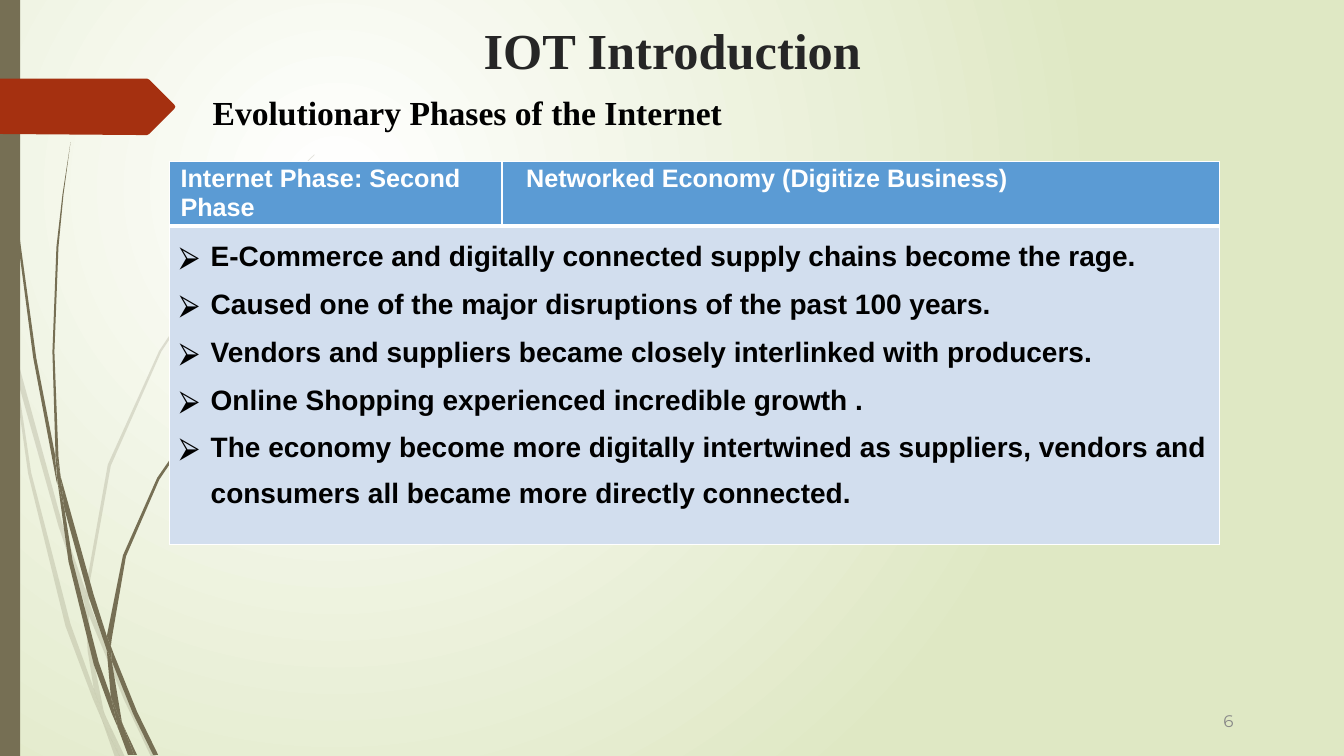
import pptx
import pptx.dml.color
import pptx.enum.shapes
import pptx.enum.text
import pptx.oxml
import pptx.oxml.ns
import pptx.util
from lxml import etree

Cm = pptx.util.Cm
Pt = pptx.util.Pt
qn = pptx.oxml.ns.qn

OLIVE, RUST, BLACK, WHITE = "766F54", "A53010", "000000", "FFFFFF"
HUNDREDTH_INCH = Cm(2.54) / 100

PALE_STALKS = [
    [(11, 350), (9, 322), (0, 282), (0, 299), (10, 344)],
    [(58, 522), (84, 599), (85, 586), (62, 520), (14, 345), (17, 376)],
    [(92, 607), (88, 596), (88, 610), (123, 694), (150, 751), (155, 751), (127, 692)],
    [(119, 751), (124, 751), (105, 711)],
    [(93, 683), (70, 619), (31, 469), (17, 376), (11, 350), (28, 470), (65, 621),
     (92, 693), (101, 714), (99, 707)],
    [(84, 599), (87, 646), (93, 683), (96, 692), (105, 711), (103, 706), (91, 646),
     (88, 610), (88, 608)],
    [(88, 584), (110, 462), (160, 349), (229, 245), (268, 198), (290, 175), (312, 154),
     (312, 153), (289, 175), (268, 197), (228, 244), (158, 348), (107, 461), (85, 584),
     (85, 586), (88, 596)],
    [(101, 714), (114, 751), (119, 751)],
    [(88, 608), (88, 610), (88, 596), (85, 586), (84, 599)],
    [(96, 692), (93, 683), (99, 707), (101, 714), (119, 751), (105, 711)],
]
DARK_STALKS = [
    [(7, 110), (17, 233), (33, 355), (56, 477), (57, 481), (55, 457), (55, 453),
     (36, 355), (19, 232), (8, 109), (5, 48), (4, 0), (3, 0), (4, 48)],
    [(88, 592), (106, 645), (106, 633), (106, 631), (93, 590), (60, 472), (64, 505)],
    [(113, 649), (110, 641), (111, 656), (132, 708), (152, 749), (157, 749), (136, 706)],
    [(110, 691), (98, 657), (72, 556), (64, 505), (57, 477), (68, 557), (93, 659),
     (111, 708), (117, 722), (116, 717)],
    [(60, 472), (58, 453), (54, 349), (58, 245), (63, 193), (70, 141), (62, 193),
     (56, 245), (52, 349), (55, 449)],
    [(133, 749), (136, 749), (122, 719)],
    [(57, 477), (64, 505), (60, 472), (55, 449), (55, 453)],
    [(111, 633), (125, 552), (158, 476), (205, 406), (231, 374), (245, 359), (261, 344),
     (260, 344), (245, 358), (231, 373), (204, 405), (156, 474), (122, 551), (106, 631),
     (110, 641)],
    [(117, 722), (127, 749), (131, 749)],
    [(106, 645), (110, 691), (116, 706), (122, 719), (121, 716), (111, 656), (109, 651)],
    [(106, 645), (109, 651), (111, 656), (110, 641), (106, 631), (106, 633)],
    [(116, 706), (110, 691), (116, 717), (117, 722), (130, 749), (133, 749), (122, 719)],
]
ARROW = [(173, 108), (148, 133), (146, 134), (136, 134), (0, 133), (0, 78), (136, 78),
         (146, 78), (148, 79), (173, 104), (174, 106)]

PHASE_POINTS = [
    "E-Commerce and digitally connected supply chains become the rage.",
    "Caused one of the major disruptions of the past 100 years.",
    "Vendors and suppliers became closely interlinked with producers.",
    "Online Shopping experienced incredible growth .",
    "The economy become more digitally intertwined as suppliers, vendors and "
    "consumers all became more directly connected.",
]


def color(value):
    return pptx.dml.color.RGBColor.from_string(value)


def add_child(parent, tag, **attributes):
    child = etree.SubElement(parent, qn(tag))
    for name, value in attributes.items():
        child.set(name, str(value))
    return child


class SlideBuilder:
    heading_font = "Times New Roman"
    body_font = "Arial"

    def __init__(self, presentation):
        self.slide = presentation.slides.add_slide(presentation.slide_layouts[6])

    def background(self, center, edge):
        fill = self.slide.background.fill
        fill.gradient()
        for stop, value in zip(fill.gradient_stops, (center, edge)):
            stop.color.rgb = color(value)
        gradient = self.slide.element.find(".//" + qn("a:gradFill"))
        gradient.remove(gradient.find(qn("a:lin")))
        circle = add_child(gradient, "a:path")
        circle.set("path", "circle")
        add_child(circle, "a:fillToRect", l=50000, t=50000, r=100000, b=100000)

    def paint(self, shape, value, opacity=100):
        shape.shadow.inherit = False
        shape.line.fill.background()
        shape.fill.solid()
        shape.fill.fore_color.rgb = color(value)
        if opacity < 100:
            tone = shape.element.spPr.find(qn("a:solidFill"))[0]
            add_child(tone, "a:alpha", val=opacity * 1000)

    def outline(self, shapes, points, value, opacity=100):
        builder = shapes.build_freeform(*points[0], scale=HUNDREDTH_INCH)
        builder.add_line_segments(points[1:], close=True)
        self.paint(builder.convert_to_shape(), value, opacity)

    def stalks(self, outlines, opacity=100):
        group = self.slide.shapes.add_group_shape()
        for points in outlines:
            self.outline(group.shapes, points, OLIVE, opacity)

    def bar(self, left, top, width, height, value):
        shape = self.slide.shapes.add_shape(
            pptx.enum.shapes.MSO_SHAPE.RECTANGLE, Cm(left), Cm(top), Cm(width), Cm(height))
        self.paint(shape, value)

    def format_runs(self, paragraph, size, value, font, bold=True):
        for run in paragraph.runs:
            run.font.size = Pt(size)
            run.font.name = font
            run.font.bold = bold
            run.font.color.rgb = color(value)

    def text(self, content, left, top, width, height, size, value, font, bold=True):
        box = self.slide.shapes.add_textbox(Cm(left), Cm(top), Cm(width), Cm(height))
        frame = box.text_frame
        frame.word_wrap = True
        frame.text = content
        self.format_runs(frame.paragraphs[0], size, value, font, bold)
        return frame

    def table(self, left, top, widths, heights):
        table = self.slide.shapes.add_table(
            len(heights), len(widths), Cm(left), Cm(top),
            Cm(sum(widths)), Cm(sum(heights))).table
        table.horz_banding = False
        for column, width in zip(table.columns, widths):
            column.width = Cm(width)
        for row, height in zip(table.rows, heights):
            row.height = Cm(height)
        return table

    def cell(self, cell, fill, margin_top, top_line=1, bottom_line=1):
        cell.margin_left = cell.margin_right = cell.margin_bottom = 0
        cell.margin_top = Cm(margin_top)
        properties = cell._tc.get_or_add_tcPr()
        for side, width in (("L", 1), ("R", 1), ("T", top_line), ("B", bottom_line)):
            line = add_child(properties, "a:ln" + side, w=Pt(width))
            add_child(add_child(line, "a:solidFill"), "a:srgbClr", val=WHITE)
        cell.fill.solid()
        cell.fill.fore_color.rgb = color(fill)

    def indent(self, paragraph, margin, first_line=0):
        properties = paragraph._p.get_or_add_pPr()
        properties.set("marL", str(Cm(margin)))
        properties.set("indent", str(Cm(first_line)))
        return properties

    def bullet(self, paragraph):
        properties = self.indent(paragraph, 1.04, -0.79)
        add_child(add_child(properties, "a:buClr"), "a:srgbClr", val=BLACK)
        add_child(properties, "a:buFont", typeface=self.body_font)
        add_child(properties, "a:buChar", char="⮚")

    def phase_table(self):
        table = self.table(4.27, 4.06, (8.38, 18.08), (1.63, 8.03))
        headers = (("Internet Phase: Second Phase", 0.28),
                   ("Networked Economy (Digitize Business)", 0.61))
        for column, (header, margin) in enumerate(headers):
            cell = table.cell(0, column)
            self.cell(cell, "5B9BD4", 0.1, bottom_line=3)
            cell.text_frame.text = header
            paragraph = cell.text_frame.paragraphs[0]
            self.indent(paragraph, margin)
            self.format_runs(paragraph, 18, WHITE, self.body_font)
            self.cell(table.cell(1, column), "D2DEEE", 0.38, top_line=3)
        body = table.cell(1, 0)
        body.merge(table.cell(1, 1))
        body.text_frame.text = "\n".join(PHASE_POINTS)
        paragraphs = body.text_frame.paragraphs
        for paragraph in paragraphs[1:-1]:
            paragraph.space_before = Pt(12)
        paragraphs[-1].line_spacing = 1.5
        for paragraph in paragraphs:
            self.bullet(paragraph)
            self.format_runs(paragraph, 20, BLACK, self.body_font)


def main():
    presentation = pptx.Presentation()
    presentation.slide_width, presentation.slide_height = Cm(33.87), Cm(19.05)
    builder = SlideBuilder(presentation)
    builder.background(WHITE, "DFE8C4")
    builder.stalks(PALE_STALKS, opacity=20)
    builder.stalks(DARK_STALKS)
    builder.bar(0, 0, 0.51, 19.05, OLIVE)
    builder.outline(builder.slide.shapes, ARROW, RUST)
    title = builder.text("IOT Introduction", 2.34, 0.3, 29.21, 1.88, 36, "262626",
                         builder.heading_font)
    title.vertical_anchor = pptx.enum.text.MSO_ANCHOR.MIDDLE
    title.paragraphs[0].alignment = pptx.enum.text.PP_ALIGN.CENTER
    number = builder.text("6", 30.73, 17.83, 0.66, 0.64, 12, "888888", "Montserrat", False)
    number.margin_left = number.margin_right = number.margin_bottom = 0
    number.margin_top = Cm(0.08)
    builder.indent(number.paragraphs[0], 0.1)
    builder.text("Evolutionary Phases of the Internet", 5.11, 2.18, 16.94, 2.06, 24, BLACK,
                 builder.heading_font)
    builder.phase_table()
    presentation.save("out.pptx")


if __name__ == "__main__":
    main()
